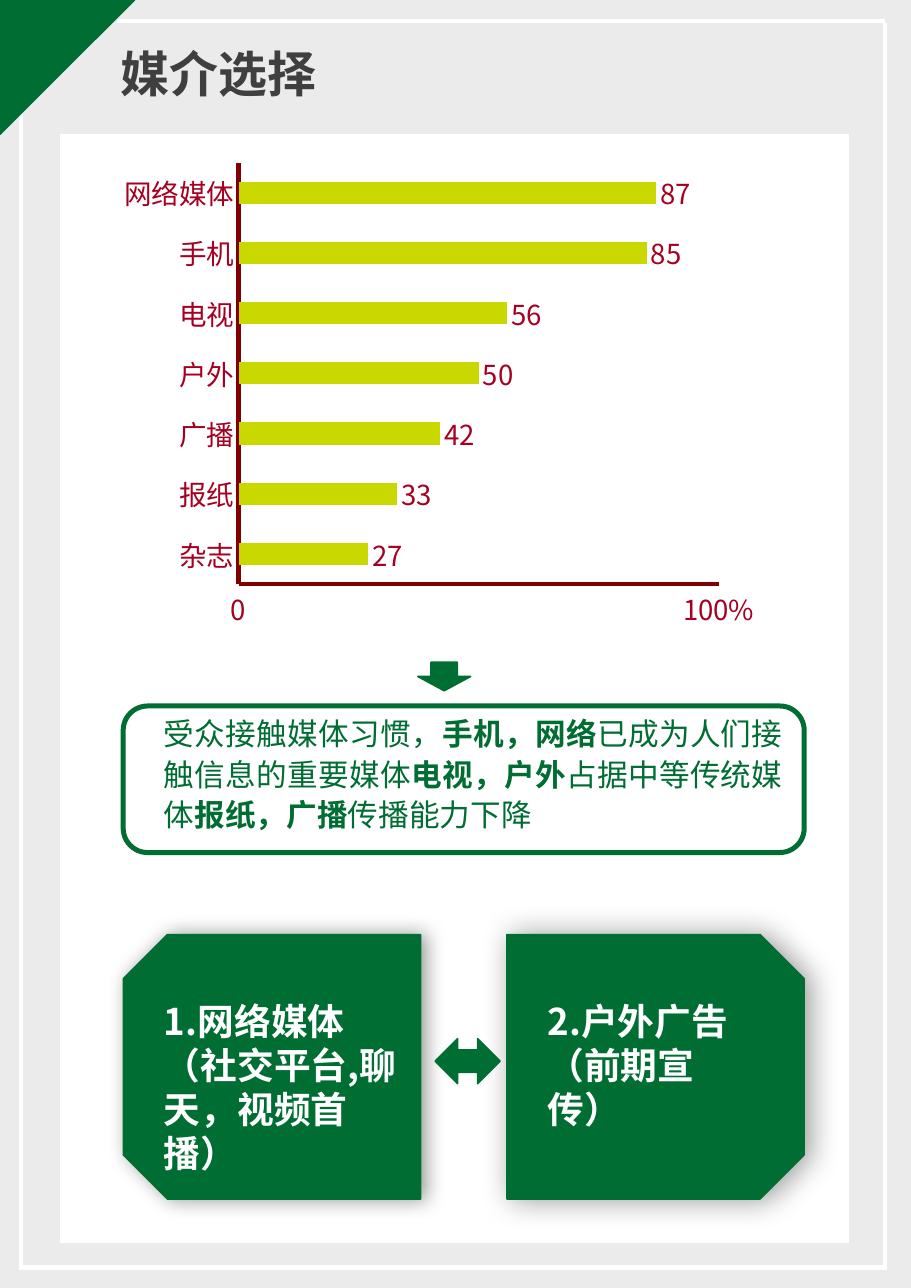
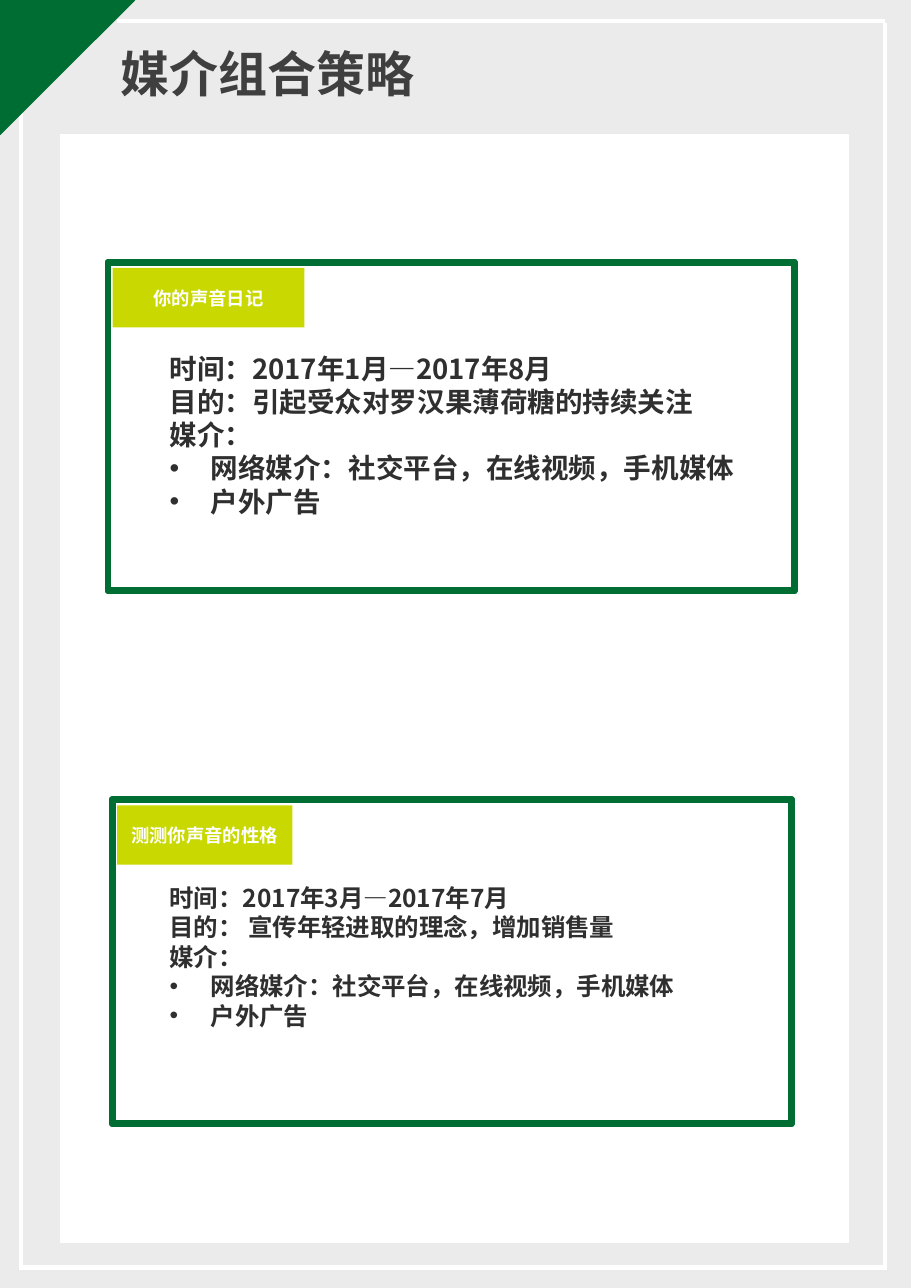
from lxml import etree
from pptx import Presentation
from pptx import util as u
from pptx.chart.data import CategoryChartData
from pptx.dml.color import RGBColor
from pptx.enum import chart as charts, shapes, text
from pptx.oxml.ns import qn

COLORS = {
    "back": "EBEBEB", "white": "FFFFFF", "green": "006D33", "lime": "C8D800",
    "title": "3F3F3F", "body": "2F2F2F", "label": "A50021", "axis": "800000",
}
FONT = "Noto Sans CJK SC"
KIND = shapes.MSO_SHAPE


def color(name):
    return RGBColor.from_string(COLORS[name])


class Poster:
    """Holds the deck style and draws elements on the current slide, in centimetres."""

    def __init__(self):
        self.deck = Presentation()
        self.deck.slide_width = u.Cm(21)
        self.deck.slide_height = u.Cm(29.7)
        self.page = None

    def new_page(self, title):
        self.page = self.deck.slides.add_slide(self.deck.slide_layouts[6])
        fill = self.page.background.fill
        fill.solid()
        fill.fore_color.rgb = color("back")
        self.line(2.69, 0.48, 20.4, 0.48)
        self.line(20.4, 0.53, 20.4, 29.23)
        self.line(0.48, 29.23, 20.45, 29.23)
        self.line(0.48, 0.66, 0.48, 29.29)
        corner = self.shape(KIND.RIGHT_TRIANGLE, (0, 0, 3.1, 3.1), "green", "green")
        corner.rotation = 90
        self.shape(KIND.RECTANGLE, (1.4, 3.1, 18.16, 25.55), "white", "white")
        self.text((2.54, 0.89, 12, 1.7), [[(title, True)]], 32, "title")

    def line(self, x1, y1, x2, y2):
        line = self.page.shapes.add_connector(
            shapes.MSO_CONNECTOR.STRAIGHT, *map(u.Cm, (x1, y1, x2, y2)))
        line.line.color.rgb = color("white")
        line.line.width = u.Pt(3)
        etree.SubElement(line._element.spPr, qn("a:effectLst"))

    def shape(self, kind, place, fill, outline=None, width=1):
        shape = self.page.shapes.add_shape(kind, *map(u.Cm, place))
        shape.shadow.inherit = False
        shape.fill.solid()
        shape.fill.fore_color.rgb = color(fill)
        if outline:
            shape.line.color.rgb = color(outline)
            shape.line.width = u.Pt(width)
        else:
            shape.line.fill.background()
        return shape

    def shadow(self, shape, blur):
        effects = shape._element.spPr.find(qn("a:effectLst"))
        outer = etree.SubElement(effects, qn("a:outerShdw"), blurRad=str(u.Pt(blur)),
                                 dist=str(u.Pt(3)), dir="0", rotWithShape="0")
        black = etree.SubElement(outer, qn("a:srgbClr"), val="000000")
        etree.SubElement(black, qn("a:alpha"), val="40000")

    def add_spans(self, para, spans, size, ink):
        for words, bold in spans:
            span = para.add_run()
            span.text = words
            span.font.size = u.Pt(size)
            span.font.bold = bold
            span.font.color.rgb = color(ink)
            span.font.name = FONT
            etree.SubElement(span._r.get_or_add_rPr(), qn("a:ea"), typeface=FONT)

    def text(self, place, paras, size, ink, bullets=0, spacing=None, align=None):
        box = self.page.shapes.add_textbox(*map(u.Cm, place))
        frame = box.text_frame
        frame.word_wrap = True
        for index, spans in enumerate(paras):
            para = frame.add_paragraph() if index else frame.paragraphs[0]
            para.alignment = align
            para.line_spacing = spacing
            if index >= len(paras) - bullets:
                props = para._p.get_or_add_pPr()
                props.set("marL", str(u.Cm(0.95)))
                props.set("indent", str(u.Cm(-0.95)))
                etree.SubElement(props, qn("a:buFont"), typeface="Arial")
                etree.SubElement(props, qn("a:buChar"), char="•")
            self.add_spans(para, spans, size, ink)

    def card(self, place, tag_width, tag, body_top, size, lines):
        left, top = place[:2]
        frame = self.shape(KIND.FRAME, place, "green", "green", 4.5)
        frame.adjustments[0] = 0
        label = self.shape(KIND.RECTANGLE, (left + 0.11, top + 0.13, tag_width, 1.37), "lime")
        label.text_frame.vertical_anchor = text.MSO_ANCHOR.MIDDLE
        para = label.text_frame.paragraphs[0]
        para.alignment = text.PP_ALIGN.CENTER
        self.add_spans(para, [(tag, True)], 12, "white")
        self.text((3.66, body_top, 14.7, 4.9), [[(words, True)] for words in lines],
                  size, "body", bullets=2)

    def bar_chart(self, place, plot, rows):
        data = CategoryChartData()
        data.categories = [name for name, _ in reversed(rows)]
        data.add_series("%", [value for _, value in reversed(rows)])
        chart = self.page.shapes.add_chart(
            charts.XL_CHART_TYPE.BAR_CLUSTERED, *map(u.Cm, place), data).chart
        chart.has_legend = chart.has_title = False
        chart.font.size = u.Pt(18)
        chart.font.color.rgb = color("label")
        chart.font.name = FONT
        for latin in list(chart._chartSpace.iter(qn("a:latin"))):
            latin.addnext(etree.Element(qn("a:ea"), typeface=FONT))

        bars = chart.plots[0]
        bars.gap_width = 170
        bars.vary_by_categories = False
        fill = bars.series[0].format.fill
        fill.solid()
        fill.fore_color.rgb = color("lime")
        bars.has_data_labels = True
        bars.data_labels.show_value = True
        bars.data_labels.position = charts.XL_LABEL_POSITION.OUTSIDE_END

        for axis in (chart.category_axis, chart.value_axis):
            axis.has_major_gridlines = False
            axis.major_tick_mark = charts.XL_TICK_MARK.NONE
            axis.format.line.color.rgb = color("axis")
            axis.format.line.width = u.Pt(3)
        scale = chart.value_axis
        scale.minimum_scale, scale.maximum_scale, scale.major_unit = 0, 100, 100
        scale.tick_labels.number_format = '[=100]0"%";0'
        scale.tick_labels.number_format_is_linked = False

        area = chart._chartSpace.find(".//" + qn("c:plotArea"))
        for old in area.findall(qn("c:layout")):
            area.remove(old)
        layout = etree.Element(qn("c:layout"))
        area.insert(0, layout)
        manual = etree.SubElement(layout, qn("c:manualLayout"))
        left, top, width, height = place
        shares = ((plot[0] - left) / width, (plot[1] - top) / height,
                  plot[2] / width, plot[3] / height)
        settings = [("layoutTarget", "inner"), ("xMode", "edge"), ("yMode", "edge")]
        settings += zip("xywh", (f"{share:.4f}" for share in shares))
        for name, value in settings:
            etree.SubElement(manual, qn("c:" + name), val=value)


def media_choice(poster):
    poster.new_page("媒介选择")
    poster.bar_chart((1.5, 3.3, 17.9, 11.7), (5.5, 3.75, 11.07, 9.72), [
        ("网络媒体", 87), ("手机", 85), ("电视", 56), ("户外", 50),
        ("广播", 42), ("报纸", 33), ("杂志", 27)])
    poster.shape(KIND.DOWN_ARROW, (9.63, 15.27, 1.22, 0.66), "green", "green")
    poster.shape(KIND.ROUNDED_RECTANGLE, (2.84, 16.28, 15.7, 3.38), "white", "green", 3.25)
    poster.text((3.53, 16.28, 14.76, 3.81), [[
        ("受众接触媒体习惯，", False), ("手机，网络", True),
        ("已成为人们接触信息的重要媒体", False), ("电视，户外", True),
        ("占据中等传统媒体", False), ("报纸，广播", True),
        ("传播能力下降", False)]], 20, "green", spacing=1.1, align=text.PP_ALIGN.JUSTIFY)

    width, height = 6.1, 6.85
    channels = [
        (6.27, 270, 13, 3.53, 6.15, "1.网络媒体（社交平台,聊天，视频首播）"),
        (15.11, 90, 20, 12.37, 5.49, "2.户外广告（前期宣传）")]
    for center, turn, blur, left, text_width, words in channels:
        block = poster.shape(KIND.SNIP_2_SAME_RECTANGLE,
                             (center - width / 2, 24.6 - height / 2, width, height),
                             "green", "green")
        block.rotation = turn
        poster.shadow(block, blur)
        poster.text((left, 22.91, text_width, 3.38), [[(words, True)]], 24, "white")
    poster.shape(KIND.LEFT_RIGHT_ARROW, (10.03, 23.95, 1.5, 1.04), "green", "green")


def media_mix(poster):
    poster.new_page("媒介组合策略")
    shared = ["媒介：", "网络媒介：社交平台，在线视频，手机媒体", "户外广告"]
    poster.card((2.49, 6.05, 15.82, 7.57), 4.42, "你的声音日记", 8, 18,
                ["时间：2017年1月—2017年8月", "目的：引起受众对罗汉果薄荷糖的持续关注"] + shared)
    poster.card((2.59, 18.44, 15.65, 7.47), 4.04, "测测你声音的性格", 20.24, 16,
                ["时间：2017年3月—2017年7月", "目的： 宣传年轻进取的理念，增加销售量"] + shared)


def main():
    poster = Poster()
    media_choice(poster)
    media_mix(poster)
    poster.deck.save("out.pptx")


if __name__ == "__main__":
    main()
